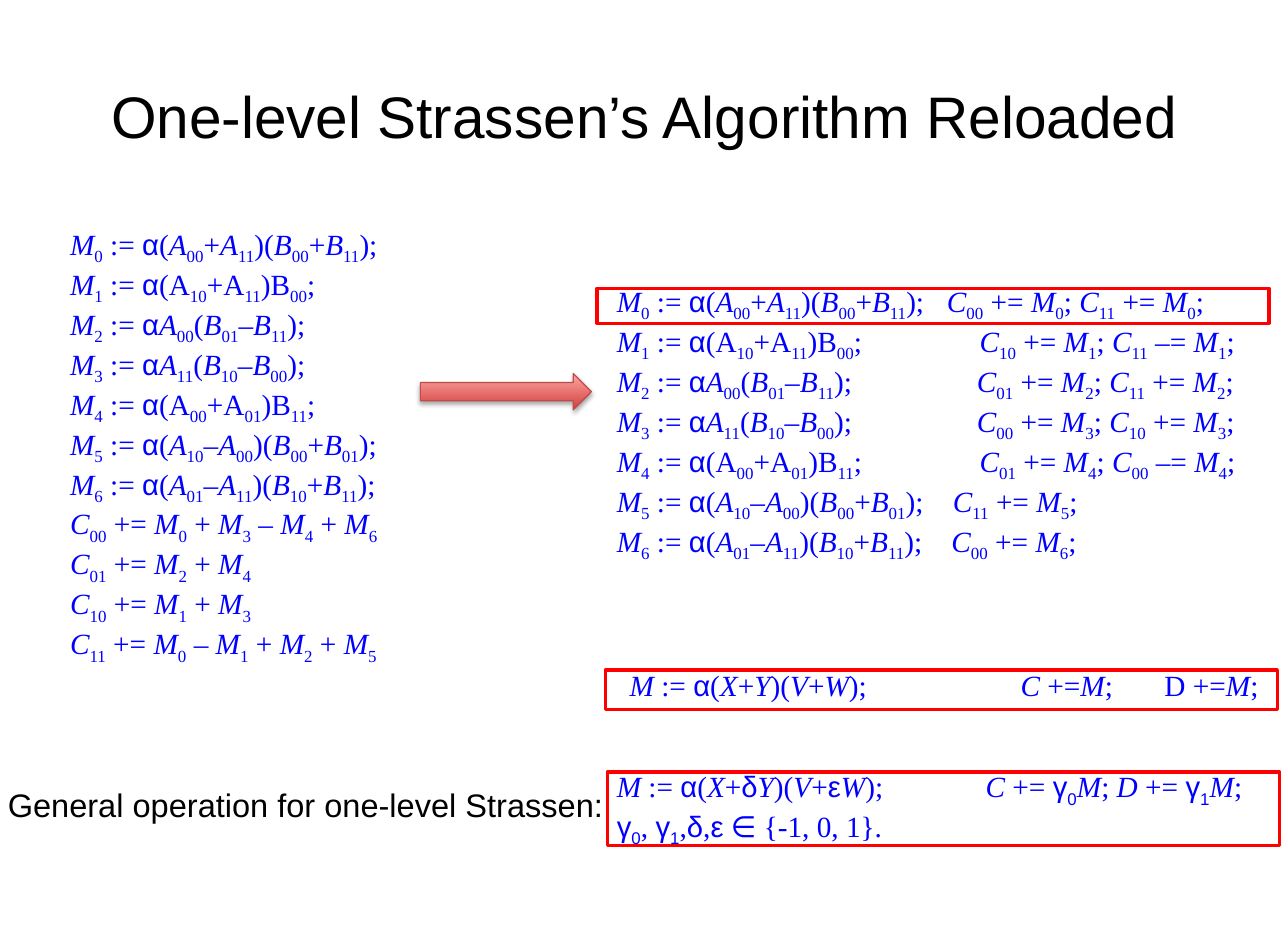
from itertools import groupby

from lxml.etree import SubElement
from pptx import Presentation
from pptx.dml.color import RGBColor as Rgb
from pptx.enum.shapes import MSO_SHAPE as Shape
from pptx.enum.text import MSO_ANCHOR as Anchor, PP_ALIGN as Align
from pptx.oxml.ns import qn
from pptx.util import Cm, Pt

THEME = {
    "black": Rgb(0, 0, 0),
    "formula": Rgb(0, 0, 0xFF),
    "frame": Rgb(0xFF, 0, 0),
    "arrow_line": Rgb(0xBF, 0x4C, 0x48),
    "arrow_fill": (Rgb(0xD1, 0x40, 0x3C), Rgb(0xFF, 0xA6, 0xA5)),
    "title_size": Pt(36),
    "caption_size": Pt(20),
    "formula_size": Pt(18),
    "sans": "Arial",
    "serif": "Times New Roman",
    "symbol": "Calibri",
}

# Formula markup: _ lowers the digits after it, ` keeps the next capital upright.
TITLE = "One-level Strassen’s Algorithm Reloaded"
CAPTION = "General operation for one-level Strassen:"
PRODUCTS = [
    "M_0 := α(A_00+A_11)(B_00+B_11);",
    "M_1 := α(`A_10+`A_11)`B_00;",
    "M_2 := αA_00(B_01–B_11);",
    "M_3 := αA_11(B_10–B_00);",
    "M_4 := α(`A_00+`A_01)`B_11;",
    "M_5 := α(A_10–A_00)(B_00+B_01);",
    "M_6 := α(A_01–A_11)(B_10+B_11);",
]
SUMS = [
    "C_00 += M_0 + M_3 – M_4 + M_6",
    "C_01 += M_2 + M_4",
    "C_10 += M_1 + M_3",
    "C_11 += M_0 – M_1 + M_2 + M_5",
]
# Update of C that follows each product, and its tab stop in cm
UPDATES = [
    ("C_00 += M_0; C_11 += M_0;", 7.16),
    ("C_10 += M_1; C_11 –= M_1;", 7.87),
    ("C_01 += M_2; C_11 += M_2;", 7.81),
    ("C_00 += M_3; C_10 += M_3;", 7.81),
    ("C_01 += M_4; C_00 –= M_4;", 7.87),
    ("C_11 += M_5;", 7.29),
    ("C_00 += M_6;", 7.26),
]
original_rows = [(formula, ()) for formula in PRODUCTS + SUMS]
reloaded_rows = [
    (f"{product}\t{update}", (stop,))
    for product, (update, stop) in zip(PRODUCTS, UPDATES)
]
simple_rows = [("M := α(X+Y)(V+W);\tC +=M;\t`D +=M;", (8.48, 11.6))]
general_rows = [
    ("M := α(X+δY)(V+εW);\tC += γ_0M; D += γ_1M;", (8.0,)),
    ("γ_0, γ_1,δ,ε ∈ {-1, 0, 1}.", ()),
]

# Left, top, width, height in cm
TITLE_AREA = (1.4, 0.81, 25.15, 3.38)
CAPTION_AREA = (-0.08, 16.89, 14.63, 1.12)
ARROW_AREA = (9.12, 8.1, 3.71, 0.79)
FORMULA_BLOCKS = [
    ((1.27, 4.78, 8.56, 12.07), original_rows),
    ((13.13, 6.02, 15.01, 9.75), reloaded_rows),
    ((13.41, 14.35, 14.5, 1.02), simple_rows),
    ((13.13, 16.54, 14.7, 1.8), general_rows),
]
FRAME_WIDTH = 14.58
FRAMES = [
    (12.95, 6.25, FRAME_WIDTH, 0.76),
    (13.13, 14.53, FRAME_WIDTH, 0.86),
    (13.18, 16.74, FRAME_WIDTH, 1.6),
]


def in_cm(area):
    return [Cm(length) for length in area]


def apply_format(target, values):
    for name, value in values.items():
        setattr(target, name, value)


def write_run(paragraph, text, size, face, color, italic=False, lowered=False):
    run = paragraph.add_run()
    run.text = text
    apply_format(run.font, {"size": size, "name": face, "italic": italic})
    run.font.color.rgb = color
    if lowered:
        run._r.get_or_add_rPr().set("baseline", "-25000")


def styled_characters(formula):
    """Yield each visible character with its (face, italic, lowered) style."""
    face, upright, lowered = THEME["serif"], False, False
    for char in formula:
        if char == "_":
            lowered = True
        elif char == "`":
            upright, lowered = True, False
        else:
            lowered = lowered and char.isdigit()
            if not lowered:
                greek = "α" <= char <= "ω"
                face = THEME["sans" if greek else "symbol" if char == "∈" else "serif"]
            yield char, (face, "A" <= char <= "Z" and not upright, lowered)
            upright = False


def write_formula(paragraph, formula, stops):
    if stops:
        tabs = SubElement(paragraph._p.get_or_add_pPr(), qn("a:tabLst"))
        for stop in stops:
            SubElement(tabs, qn("a:tab"), pos=str(int(Cm(stop))), algn="l")
    for (face, italic, lowered), part in groupby(
        styled_characters(formula), key=lambda pair: pair[1]
    ):
        text = "".join(char for char, _ in part)
        write_run(paragraph, text, THEME["formula_size"], face,
                  THEME["formula"], italic, lowered)


def add_text_frame(slide, area):
    frame = slide.shapes.add_textbox(*in_cm(area)).text_frame
    frame.word_wrap = True
    return frame


def add_formulas(slide, area, rows):
    frame = add_text_frame(slide, area)
    for index, (formula, stops) in enumerate(rows):
        paragraph = frame.add_paragraph() if index else frame.paragraphs[0]
        write_formula(paragraph, formula, stops)


def add_outlined(slide, kind, area, color, width):
    shape = slide.shapes.add_shape(kind, *in_cm(area))
    shape.shadow.inherit = False
    shape.fill.background()
    shape.line.color.rgb = color
    shape.line.width = Pt(width)
    return shape


def add_arrow(slide):
    arrow = add_outlined(slide, Shape.RIGHT_ARROW, ARROW_AREA, THEME["arrow_line"], 0.75)
    arrow.fill.gradient()
    arrow.fill.gradient_angle = 90
    for stop, color in zip(arrow.fill.gradient_stops, THEME["arrow_fill"]):
        stop.color.rgb = color
    effects = arrow._element.spPr.find(qn("a:effectLst"))
    shadow = SubElement(effects, qn("a:outerShdw"), blurRad="40000", dist="23000",
                        dir="5400000", rotWithShape="0")
    black = SubElement(shadow, qn("a:srgbClr"), val=str(THEME["black"]))
    SubElement(black, qn("a:alpha"), val="35000")


def add_title(slide):
    title = slide.shapes.title
    apply_format(title, dict(zip(("left", "top", "width", "height"), in_cm(TITLE_AREA))))
    apply_format(title.text_frame, {"vertical_anchor": Anchor.MIDDLE, "word_wrap": True})
    heading = title.text_frame.paragraphs[0]
    heading.alignment = Align.CENTER
    write_run(heading, TITLE, THEME["title_size"], THEME["sans"], THEME["black"])


def main():
    deck = Presentation()
    apply_format(deck, {"slide_width": Cm(27.94), "slide_height": Cm(20.32)})
    slide = deck.slides.add_slide(deck.slide_layouts[5])
    add_title(slide)
    for area, rows in FORMULA_BLOCKS:
        add_formulas(slide, area, rows)
    add_arrow(slide)
    for area in FRAMES:
        add_outlined(slide, Shape.RECTANGLE, area, THEME["frame"], 2)
    caption = add_text_frame(slide, CAPTION_AREA).paragraphs[0]
    write_run(caption, CAPTION, THEME["caption_size"], THEME["sans"], THEME["black"])
    deck.save("out.pptx")


if __name__ == "__main__":
    main()
